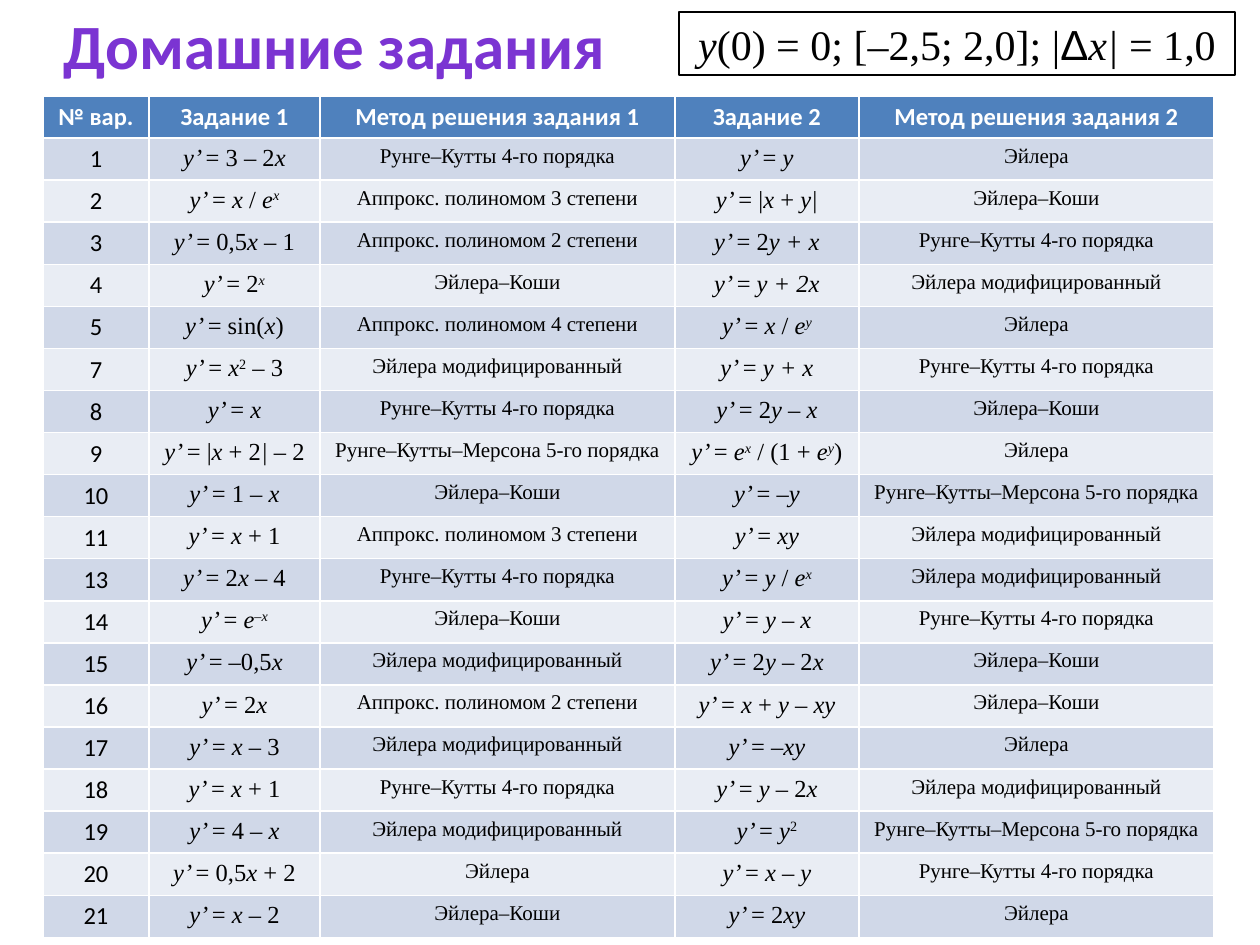
from itertools import groupby

from pptx import Presentation
from pptx.dml.color import RGBColor
from pptx.enum.shapes import MSO_SHAPE
from pptx.enum.text import MSO_ANCHOR, MSO_AUTO_SIZE, PP_ALIGN
from pptx.oxml import parse_xml
from pptx.oxml.ns import nsdecls
from pptx.util import Emu, Pt

EMU_PER_PX = 914400 / 126
RECTANGLE = MSO_SHAPE.RECTANGLE
CENTER = PP_ALIGN.CENTER
MIDDLE = MSO_ANCHOR.MIDDLE
GROW = MSO_AUTO_SIZE.SHAPE_TO_FIT_TEXT
SANS, SERIF, SYMBOL = "Calibri", "Times New Roman", "Arial"
COLORS = {
    "black": "000000",
    "white": "FFFFFF",
    "header": "4F81BD",
    "odd": "D0D8E8",
    "even": "E9EDF4",
    "title_dark": "3D1B67",
    "title_light": "7B34D2",
    "title_middle": "7330C4",
    "title_outline": "5E457C",
}
TITLE_STOPS = [(0, "title_dark"), (43, "title_light"), (48, "title_middle"), (100, "title_dark")]
COLUMN_WIDTHS = [106, 171, 355, 184, 355]
ROW_HEIGHT = 39

EULER = "Эйлера"
CAUCHY = "Эйлера–Коши"
MODIFIED = "Эйлера модифицированный"
RUNGE = "Рунге–Кутты 4-го порядка"
MERSON = "Рунге–Кутты–Мерсона 5-го порядка"
FIT_2, FIT_3, FIT_4 = (f"Аппрокс. полиномом {degree} степени" for degree in (2, 3, 4))

HEADERS = ["№ вар.", "Задание 1", "Метод решения задания 1", "Задание 2", "Метод решения задания 2"]
VARIANTS = [
    ("1", "3 – 2x", RUNGE, "y", EULER),
    ("2", "x / e^x", FIT_3, "|x + y_|_", CAUCHY),
    ("3", "0,5x – 1", FIT_2, "2_y + x_", RUNGE),
    ("4", "2^x", CAUCHY, "_y + 2x_", MODIFIED),
    ("5", "sin(x)", FIT_4, "x / e^y", EULER),
    ("7", "x^2 – 3", MODIFIED, "_y + x_", RUNGE),
    ("8", "x", RUNGE, "2y – x", CAUCHY),
    ("9", "|x + 2_|_ – 2", MERSON, "e^x / (1 + e^y)", EULER),
    ("10", "1 – x", CAUCHY, "–y", MERSON),
    ("11", "x + 1", FIT_3, "xy", MODIFIED),
    ("13", "2x – 4", RUNGE, "y / e^x", MODIFIED),
    ("14", "e^–^x", CAUCHY, "y – x", RUNGE),
    ("15", "–0,5x", MODIFIED, "2y – 2x", CAUCHY),
    ("16", "2x", FIT_2, "x + y – xy", CAUCHY),
    ("17", "x – 3", MODIFIED, "–xy", EULER),
    ("18", "x + 1", RUNGE, "y – 2x", MODIFIED),
    ("19", "4 – x", MODIFIED, "y^2", MERSON),
    ("20", "0,5x + 2", EULER, "x – y", RUNGE),
    ("21", "x – 2", CAUCHY, "2xy", EULER),
]


def px(length):
    """Turn pixels into EMU."""
    return Emu(round(length * EMU_PER_PX))


def color(name):
    """Look up a named colour."""
    return RGBColor.from_string(COLORS[name])


def format_run(run, size, font, color_name="black", bold=False, italic=False):
    """Set the font of one run."""
    run.font.size = Pt(size)
    run.font.name = font
    run.font.bold = bold
    run.font.italic = italic
    run.font.color.rgb = color(color_name)


def write_plain(paragraph, text, size, font, color_name="black", bold=False):
    """Write centred text in one style."""
    paragraph.text = text
    paragraph.alignment = CENTER
    format_run(paragraph.runs[0], size, font, color_name, bold)


def formula_characters(markup):
    """Yield characters with their style: ^ raises the next one, _ toggles italics."""
    forced = raised = False
    for character in markup:
        if character == "_":
            forced = not forced
        elif character == "^":
            raised = True
        else:
            font = SYMBOL if character == "Δ" else SERIF
            yield character, (forced or character in "xye’", raised, font)
            raised = False


def write_formula(paragraph, markup, size):
    """Write a centred formula with italic variables and raised exponents."""
    paragraph.alignment = CENTER
    for style, group in groupby(formula_characters(markup), key=lambda pair: pair[1]):
        italic, raised, font = style
        run = paragraph.add_run()
        run.text = "".join(character for character, _ in group)
        format_run(run, size, font, italic=italic)
        if raised:
            run.font._element.set("baseline", "30000")


def add_title(slide, left, top, width, height):
    """Add the heading with gradient lettering."""
    text_frame = slide.shapes.add_textbox(px(left), px(top), px(width), px(height)).text_frame
    text_frame.word_wrap = True
    text_frame.auto_size = GROW
    paragraph = text_frame.paragraphs[0]
    write_plain(paragraph, "Домашние задания", 36, SANS, "title_light", True)
    properties = paragraph.runs[0].font._element
    stops = "".join(
        f'<a:gs pos="{position * 1000}"><a:srgbClr val="{COLORS[name]}"/></a:gs>'
        for position, name in TITLE_STOPS
    )
    gradient = parse_xml(
        f'<a:gradFill {nsdecls("a")}><a:gsLst>{stops}</a:gsLst><a:lin ang="5400000"/></a:gradFill>'
    )
    outline = parse_xml(
        f'<a:ln {nsdecls("a")} w="9000"><a:solidFill>'
        f'<a:srgbClr val="{COLORS["title_outline"]}"/></a:solidFill></a:ln>'
    )
    properties.replace(properties.solidFill, gradient)
    properties.insert(0, outline)


def add_variants(slide, left, top, width, height):
    """Add the table of task variants."""
    frame = slide.shapes.add_table(
        len(VARIANTS) + 1, len(HEADERS), px(left), px(top), px(width), px(height)
    )
    table = frame.table
    for column, column_width in zip(table.columns, COLUMN_WIDTHS):
        column.width = px(column_width)
    for row in table.rows:
        row.height = px(ROW_HEIGHT)
    for row_index, values in enumerate([HEADERS, *VARIANTS]):
        fill_name = "header" if row_index == 0 else "odd" if row_index % 2 else "even"
        for column_index, value in enumerate(values):
            cell = table.cell(row_index, column_index)
            cell.fill.solid()
            cell.fill.fore_color.rgb = color(fill_name)
            paragraph = cell.text_frame.paragraphs[0]
            if row_index == 0:
                write_plain(paragraph, value, 14, SANS, "white", True)
            elif column_index == 0:
                write_plain(paragraph, value, 14, SANS)
            elif column_index % 2:
                write_formula(paragraph, f"y’_ _= {value}", 14)
            else:
                write_plain(paragraph, value, 12, SERIF)


def add_condition(slide, left, top, width, height):
    """Add the framed initial condition."""
    shape = slide.shapes.add_shape(RECTANGLE, px(left), px(top), px(width), px(height))
    shape.shadow.inherit = False
    shape.fill.background()
    shape.line.color.rgb = color("black")
    shape.line.width = Pt(0.75)
    text_frame = shape.text_frame
    text_frame.word_wrap = True
    text_frame.auto_size = GROW
    text_frame.vertical_anchor = MIDDLE
    write_formula(text_frame.paragraphs[0], "y(0) = 0; [–2,5; 2,0]; |Δ_x|_ = 1,0", 24)


def main():
    """Build the slide and save it."""
    presentation = Presentation()
    presentation.slide_width, presentation.slide_height = px(1260), px(945)
    slide = presentation.slides.add_slide(presentation.slide_layouts[6])
    add_title(slide, 0, 0, 669, 89)
    add_variants(slide, 43, 96, sum(COLUMN_WIDTHS), 840)
    add_condition(slide, 679, 12, 556, 63)
    presentation.save("out.pptx")


if __name__ == "__main__":
    main()
